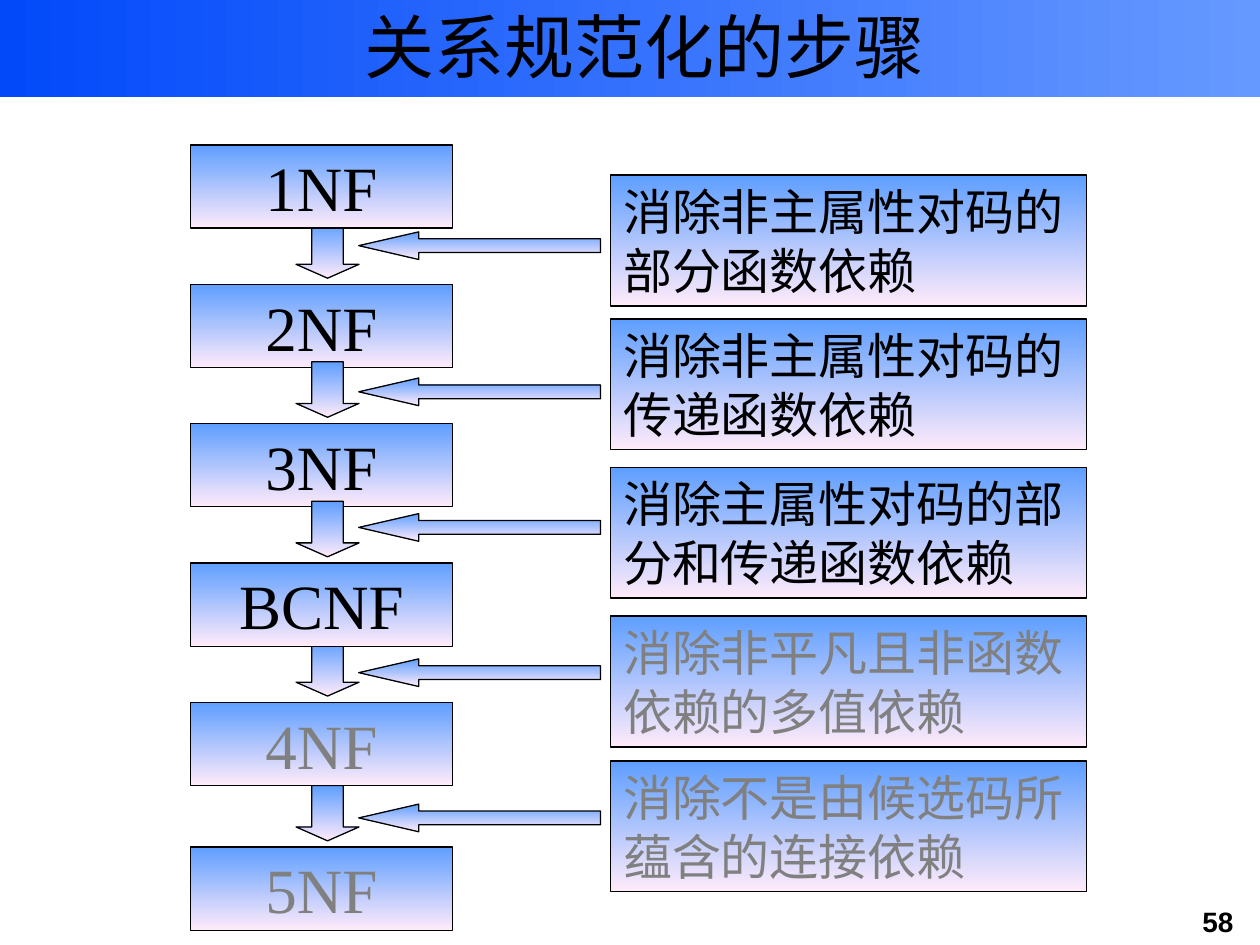
import pptx
import pptx.dml.color
import pptx.enum.shapes
import pptx.enum.text
import pptx.util

Pt = pptx.util.Pt
RGBColor = pptx.dml.color.RGBColor
SHAPE = pptx.enum.shapes.MSO_SHAPE
ALIGN = pptx.enum.text.PP_ALIGN
ANCHOR = pptx.enum.text.MSO_ANCHOR
AUTO_SIZE = pptx.enum.text.MSO_AUTO_SIZE

BLACK = RGBColor(0x00, 0x00, 0x00)
GREY = RGBColor(0x80, 0x80, 0x80)
BAND_START = RGBColor(0x02, 0x49, 0xFA)
BAND_END = RGBColor(0x66, 0x99, 0xFF)
BOX_TOP = RGBColor(0x5E, 0x9E, 0xFF)
BOX_BOTTOM = RGBColor(0xFF, 0xEB, 0xFA)

FORMS = [
    ("1NF", 82.8, BLACK),
    ("2NF", 162.5, BLACK),
    ("3NF", 242, BLACK),
    ("BCNF", 321.7, BLACK),
    ("4NF", 401.3, GREY),
    ("5NF", 484, GREY),
]
ARROWS_IN_FRONT = {"2NF", "3NF"}
RULES = [
    ("消除非主属性对码的部分函数依赖", 100, 132.5, BLACK),
    ("消除非主属性对码的传递函数依赖", 182.2, 216, BLACK),
    ("消除主属性对码的部分和传递函数依赖", 267, 293.5, BLACK),
    ("消除非平凡且非函数依赖的多值依赖", 352, 376.5, GREY),
    ("消除不是由候选码所蕴含的连接依赖", 434.8, 459.5, GREY),
]


def write_text(shape, text, size, color=BLACK, font="Times New Roman",
               bold=False, align=ALIGN.CENTER, wrap=True):
    """Write one formatted, vertically centred paragraph into a shape."""
    frame = shape.text_frame
    frame.auto_size = AUTO_SIZE.NONE
    frame.word_wrap = wrap
    frame.vertical_anchor = ANCHOR.MIDDLE
    frame.text = text
    paragraph = frame.paragraphs[0]
    paragraph.alignment = align
    paragraph.font.size = Pt(size)
    paragraph.font.name = font
    paragraph.font.bold = bold
    paragraph.font.color.rgb = color


def add_gradient_shape(slide, preset, left, top, width, height,
                       colors=(BOX_TOP, BOX_BOTTOM), angle=270, outlined=True):
    """Add a preset shape with a two-colour linear gradient."""
    shape = slide.shapes.add_shape(preset, Pt(left), Pt(top), Pt(width), Pt(height))
    shape.shadow.inherit = False
    shape.fill.gradient()
    shape.fill.gradient_angle = angle
    for stop, color in zip(shape.fill.gradient_stops, colors):
        stop.color.rgb = color
    if outlined:
        shape.line.color.rgb = BLACK
        shape.line.width = Pt(0.75)
    else:
        shape.line.fill.background()
    return shape


def add_header(slide, left, top, width, height):
    """Place the gradient band with the title on it."""
    band = add_gradient_shape(slide, SHAPE.RECTANGLE, left, top, width, height,
                              (BAND_START, BAND_END), 0, False)
    title = slide.shapes.title
    band.element.addnext(title.element)
    title.left, title.top = Pt(left + 64.8), Pt(top + 2.9)
    title.width, title.height = Pt(width - 113), Pt(height - 9.4)
    write_text(title, "关系规范化的步骤", 40)


def add_normal_forms(slide, left, width, height):
    """Stack the normal forms with a down arrow leading to each next one."""
    arrow_width = 36
    for index, (name, top, color) in enumerate(FORMS):
        box = add_gradient_shape(slide, SHAPE.RECTANGLE, left, top, width, height)
        write_text(box, name, 36, color, wrap=False)
        if index + 1 < len(FORMS):
            next_top = FORMS[index + 1][1]
            step = add_gradient_shape(slide, SHAPE.DOWN_ARROW, left + 60.5,
                                      next_top - 35.2, arrow_width, 31.7)
            step.adjustments[0], step.adjustments[1] = 0.5, 0.25
            if name not in ARROWS_IN_FRONT:
                box.element.addprevious(step.element)


def add_rules(slide, left, width, height):
    """Place the elimination rules, each with an arrow towards its step."""
    for rule, top, pointer_top, color in RULES:
        box = add_gradient_shape(slide, SHAPE.RECTANGLE, left, top, width, height)
        write_text(box, rule, 28, color, align=ALIGN.LEFT)
        pointer = add_gradient_shape(slide, SHAPE.LEFT_ARROW, left - 144,
                                     pointer_top, 138.2, 15.8)
        pointer.adjustments[0], pointer.adjustments[1] = 0.5, 2.17


def add_page_number(slide, left, top, width, height):
    """Place the page number."""
    number = slide.shapes.add_textbox(Pt(left), Pt(top), Pt(width), Pt(height))
    write_text(number, "58", 16, font="Arial", bold=True)


def main():
    """Build and save the slide."""
    deck = pptx.Presentation()
    deck.slide_width, deck.slide_height = Pt(720), Pt(540)
    slide = deck.slides.add_slide(deck.slide_layouts[5])
    add_header(slide, 0, 0, 720, 55.4)
    add_normal_forms(slide, 108.7, 150, 47.6)
    add_rules(slide, 349, 272, 74.8)
    add_page_number(slide, 671.8, 513.4, 48.2, 26.6)
    deck.save("out.pptx")


if __name__ == "__main__":
    main()
